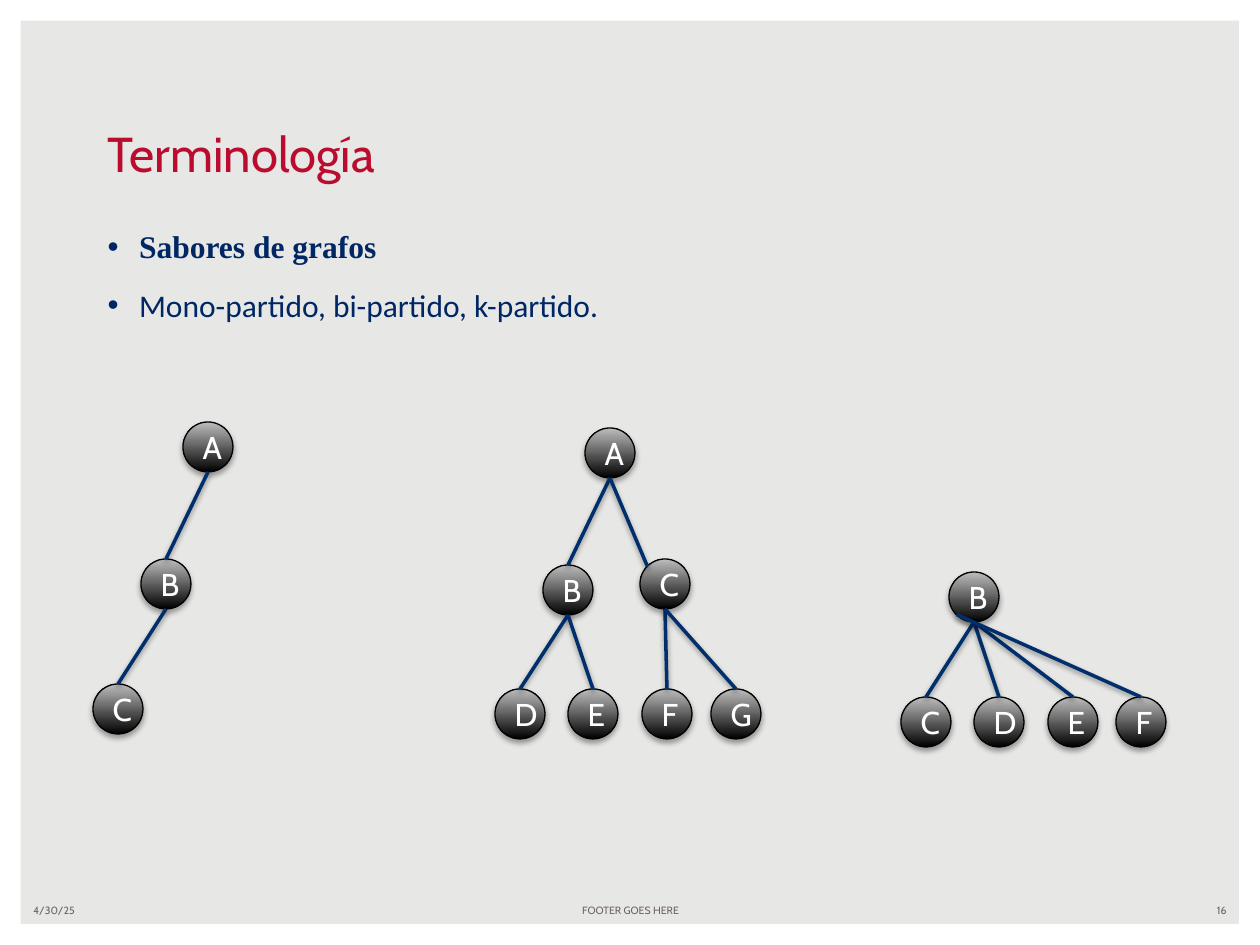
import lxml.etree
import pptx
import pptx.dml.color
import pptx.enum.shapes
import pptx.enum.text
import pptx.oxml
import pptx.oxml.ns
import pptx.util

RGBColor = pptx.dml.color.RGBColor
ALIGN = pptx.enum.text.PP_ALIGN
ANCHOR = pptx.enum.text.MSO_ANCHOR
SHAPE = pptx.enum.shapes.MSO_SHAPE

BACKGROUND = RGBColor(0xE7, 0xE7, 0xE5)
WHITE = RGBColor(0xFF, 0xFF, 0xFF)
BLACK = RGBColor(0x00, 0x00, 0x00)
GRAY = RGBColor(0xBD, 0xBD, 0xBD)
RED = RGBColor(0xBA, 0x0C, 0x2F)
NAVY = RGBColor(0x00, 0x26, 0x64)
EDGE_BLUE = RGBColor(0x00, 0x2F, 0x6C)
FOOTER_GRAY = RGBColor(0x6C, 0x64, 0x63)

TITLE = "Terminología"
BULLETS = [
    ("Sabores de grafos", "Times New Roman", True),
    ("Mono-partido, bi-partido, k-partido.", "Calibri", False),
]
FOOTERS = [
    ("4/30/25", 21, 294, ALIGN.LEFT),
    ("FOOTER GOES HERE", 431, 399, ALIGN.CENTER),
    ("16", 945, 294, ALIGN.RIGHT),
]

TOP, TOP_LEFT, BOTTOM_LEFT, BOTTOM = 0, 1, 3, 4
SITES = {TOP: (0.5, 0), TOP_LEFT: (0.15, 0.15), BOTTOM_LEFT: (0.15, 0.85), BOTTOM: (0.5, 1)}
GRAPHS = [
    {
        "nodes": {"A": (183, 422), "B": (141, 559), "C": (93, 684)},
        "edges": [("A", "B"), ("B", "C")],
    },
    {
        "nodes": {
            "A": (585, 428), "B": (543, 565), "C": (640, 559),
            "D": (495, 689), "E": (568, 689), "F": (642, 689), "G": (711, 689),
        },
        "edges": [("A", "B"), ("A", "C", BOTTOM, TOP_LEFT), ("B", "D"),
                  ("B", "E"), ("C", "F"), ("C", "G")],
    },
    {
        "nodes": {
            "B": (949, 572),
            "C": (901, 697), "D": (974, 697), "E": (1048, 697), "F": (1116, 697),
        },
        "edges": [("B", "C"), ("B", "D"), ("B", "E"), ("B", "F", BOTTOM_LEFT, TOP)],
    },
]
NODE_SIZE = 50


def px(value):
    return round(value * 914400 / 126)


def place(shape, left, top, width, height):
    shape.left, shape.top, shape.width, shape.height = map(px, (left, top, width, height))


def write(paragraph, text, font="Cabin", size=18, color=WHITE, bold=False, align=ALIGN.LEFT):
    paragraph.alignment = align
    run = paragraph.add_run()
    run.text = text
    run.font.name = font
    run.font.size = pptx.util.Pt(size)
    run.font.bold = bold
    run.font.color.rgb = color


def add_shadow(shape, opacity, distance):
    properties = shape._element.spPr
    effects = lxml.etree.SubElement(properties, pptx.oxml.ns.qn("a:effectLst"))
    effects.append(pptx.oxml.parse_xml(
        f'<a:outerShdw {pptx.oxml.ns.nsdecls("a")} blurRad="{pptx.util.Pt(3.1)}" '
        f'dist="{pptx.util.Pt(distance)}" dir="5400000" rotWithShape="0">'
        f'<a:srgbClr val="{BLACK}"><a:alpha val="{opacity * 1000}"/></a:srgbClr></a:outerShdw>'
    ))


def add_node(slide, label, left, top):
    node = slide.shapes.add_shape(SHAPE.OVAL, 0, 0, 0, 0)
    place(node, left, top, NODE_SIZE, NODE_SIZE)
    node.fill.gradient()
    node.fill.gradient_angle = 90
    for stop, color in zip(node.fill.gradient_stops, (BLACK, GRAY)):
        stop.color.rgb = color
    node.line.color.rgb = BLACK
    node.line.width = pptx.util.Pt(0.75)
    add_shadow(node, 35, 1.8)
    node.text_frame.vertical_anchor = ANCHOR.MIDDLE
    write(node.text_frame.paragraphs[0], label, align=ALIGN.CENTER)
    return node


def site_point(node, site):
    across, down = SITES[site]
    return round(node.left + across * node.width), round(node.top + down * node.height)


def add_edge(slide, parent, child, start=BOTTOM, end=TOP):
    edge = slide.shapes.add_connector(pptx.enum.shapes.MSO_CONNECTOR.STRAIGHT, 0, 0, 0, 0)
    edge.begin_connect(parent, 0)
    edge.end_connect(child, 0)
    links = edge._element.nvCxnSpPr.cNvCxnSpPr
    links.stCxn.idx, links.endCxn.idx = start, end
    edge.begin_x, edge.begin_y = site_point(parent, start)
    edge.end_x, edge.end_y = site_point(child, end)
    edge.line.color.rgb = EDGE_BLUE
    edge.line.width = pptx.util.Pt(2)
    add_shadow(edge, 38, 1.6)


def add_frame(slide):
    frame = slide.shapes.add_shape(SHAPE.FRAME, 0, 0, px(1260), px(945))
    frame.adjustments[0] = 0.022
    frame.shadow.inherit = False
    frame.fill.solid()
    frame.fill.fore_color.rgb = WHITE
    frame.line.fill.background()


def fill_placeholders(slide):
    title, body = slide.shapes.title, slide.placeholders[1]
    place(title, 95, 117, 1071, 72)
    title.text_frame.vertical_anchor = ANCHOR.BOTTOM
    title.text_frame.auto_size = pptx.enum.text.MSO_AUTO_SIZE.SHAPE_TO_FIT_TEXT
    write(title.text_frame.paragraphs[0], TITLE, size=28, color=RED)

    place(body, 95, 221, 1071, 607)
    for index, (text, font, bold) in enumerate(BULLETS):
        frame = body.text_frame
        paragraph = frame.add_paragraph() if index else frame.paragraphs[0]
        write(paragraph, text, font=font, color=NAVY, bold=bold, align=ALIGN.JUSTIFY)
        paragraph.space_before = pptx.util.Pt(0)
        paragraph.space_after = pptx.util.Pt(12)
        properties = paragraph._p.get_or_add_pPr()
        properties.set("marL", str(pptx.util.Inches(0.25)))
        properties.set("indent", str(-pptx.util.Inches(0.25)))


def add_footers(slide):
    for text, left, width, align in FOOTERS:
        box = slide.shapes.add_textbox(px(left), px(898), px(width), px(25))
        box.text_frame.word_wrap = True
        box.text_frame.vertical_anchor = ANCHOR.MIDDLE
        write(box.text_frame.paragraphs[0], text, size=6, color=FOOTER_GRAY, align=align)


def main():
    presentation = pptx.Presentation()
    presentation.slide_width, presentation.slide_height = px(1260), px(945)
    slide = presentation.slides.add_slide(presentation.slide_layouts[1])
    slide.background.fill.solid()
    slide.background.fill.fore_color.rgb = BACKGROUND
    add_frame(slide)
    fill_placeholders(slide)
    add_footers(slide)
    for graph in GRAPHS:
        nodes = {label: add_node(slide, label, *corner) for label, corner in graph["nodes"].items()}
        for parent, child, *sites in graph["edges"]:
            add_edge(slide, nodes[parent], nodes[child], *sites)
    presentation.save("out.pptx")


if __name__ == "__main__":
    main()
